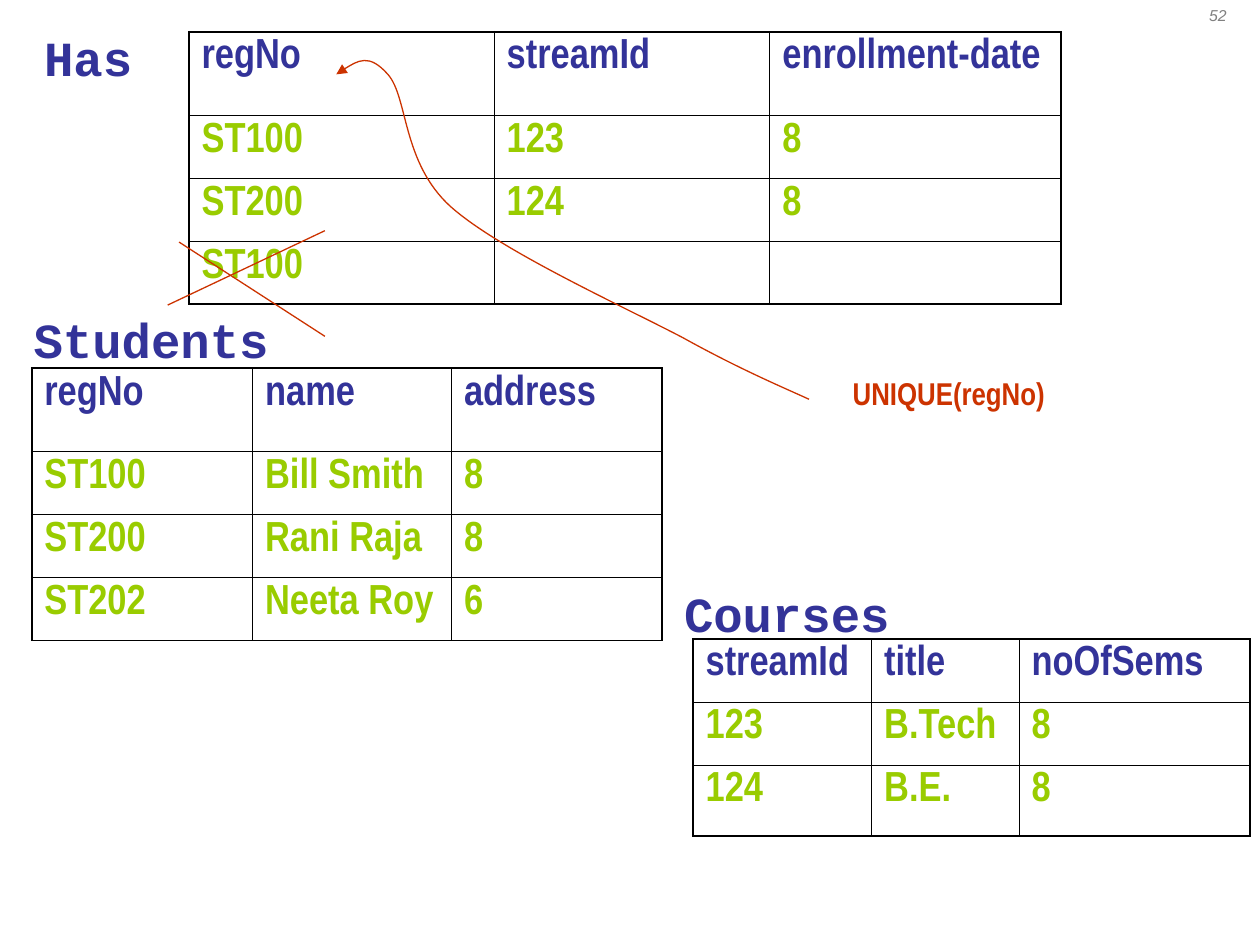
from lxml import etree
from pptx import Presentation
from pptx import util as u
from pptx.dml import color as colors
from pptx.enum import shapes, text
from pptx.oxml import ns

NAVY, GREEN, RED, GREY, BLACK = "333399", "99CC00", "CC3300", "808080", "000000"
OUTER, INNER = 1.08, 0.45


def rgb(value):
    return colors.RGBColor.from_string(value)


def style(para, name, size, color, bold=True, italic=False):
    for span in para.runs:
        span.font.name = name
        span.font.size = u.Pt(size)
        span.font.bold = bold
        span.font.italic = italic
        span.font.color.rgb = rgb(color)


deck = Presentation()
deck.slide_width, deck.slide_height = u.Cm(25.4), u.Cm(19.05)
page = deck.slides.add_slide(deck.slide_layouts[6])

tables = [
    ((13.97, 12.88), (3.6, 2.97, 4.66), (1.27, 1.27, 1.43), [
        ("streamId", "title", "noOfSems"),
        ("123", "B.Tech", "8"),
        ("124", "B.E.", "8"),
    ]),
    ((0.64, 7.42), (4.45, 4.01, 4.24), (1.68, 1.27, 1.27, 1.27), [
        ("regNo", "name", "address"),
        ("ST100", "Bill Smith", "8"),
        ("ST200", "Rani Raja", "8"),
        ("ST202", "Neeta Roy", "6"),
    ]),
    ((3.81, 0.64), (6.15, 5.56, 5.87), (1.68, 1.27, 1.27, 1.27), [
        ("regNo", "streamId", "enrollment-date"),
        ("ST100", "123", "8"),
        ("ST200", "124", "8"),
        ("ST100", "", ""),
    ]),
]

for (left, top), widths, heights, rows in tables:
    grid = page.shapes.add_table(
        len(rows), len(widths), u.Cm(left), u.Cm(top),
        u.Cm(sum(widths)), u.Cm(sum(heights))).table
    grid.first_row = grid.horz_banding = False
    for column, width in zip(grid.columns, widths):
        column.width = u.Cm(width)
    for row, height in zip(grid.rows, heights):
        row.height = u.Cm(height)
    for r, values in enumerate(rows):
        for c, value in enumerate(values):
            cell = grid.cell(r, c)
            cell.text_frame.text = value
            style(cell.text_frame.paragraphs[0], "Arial Narrow", 24, GREEN if r else NAVY)
            edges = {"lnL": c == 0, "lnR": c == len(widths) - 1,
                     "lnT": r == 0, "lnB": r == len(rows) - 1}
            properties = cell._tc.get_or_add_tcPr()
            for edge, outside in edges.items():
                line = etree.SubElement(properties, ns.qn("a:" + edge),
                                        w=str(u.Pt(OUTER if outside else INNER)))
                fill = etree.SubElement(line, ns.qn("a:solidFill"))
                etree.SubElement(fill, ns.qn("a:srgbClr"), val=BLACK)
            cell.fill.background()

labels = [
    ("Courses", (13.54, 11.63, 4.8, 1.45), "Courier New", 28, NAVY),
    ("Students", (0.43, 6.12, 5.4, 1.45), "Courier New", 28, NAVY),
    ("Has", (0.64, 0.43, 2.4, 1.45), "Courier New", 28, NAVY),
    ("UNIQUE(regNo)", (16.94, 7.42, 4.6, 1.02), "Arial Narrow", 18, RED),
]
for wording, place, name, size, color in labels:
    box = page.shapes.add_textbox(*map(u.Cm, place))
    box.text_frame.word_wrap = True
    box.text_frame.auto_size = text.MSO_AUTO_SIZE.NONE
    box.text_frame.text = wording
    style(box.text_frame.paragraphs[0], name, size, color)

number = page.shapes.add_textbox(u.Cm(23.7), u.Cm(0), u.Cm(1.7), u.Cm(1.27))
number.text_frame.word_wrap = True
number.text_frame.text = "52"
para = number.text_frame.paragraphs[0]
para.alignment = text.PP_ALIGN.CENTER
style(para, "Arial", 9, GREY, bold=False, italic=True)

for ends in [(3.61, 4.88, 6.55, 6.78), (6.55, 4.65, 3.38, 6.15)]:
    stroke = page.shapes.add_connector(shapes.MSO_CONNECTOR.STRAIGHT, *map(u.Cm, ends))
    stroke.line.color.rgb = rgb(RED)
    stroke.line.width = u.Pt(0.75)
    etree.SubElement(stroke._element.spPr, ns.qn("a:effectLst"))

curve_points = [
    (7.11, 1.27), (7.44, 1.07), (7.82, 1.5),
    (8.23, 1.96), (8.1, 3.28), (9.09, 4.17),
    (10.08, 5.05), (12.55, 6.17), (13.77, 6.81),
    (14.96, 7.47), (15.88, 7.85), (16.31, 8.05),
]
builder = page.shapes.build_freeform(u.Cm(6.78), u.Cm(1.5))
builder.add_line_segments([(u.Cm(x), u.Cm(y)) for x, y in curve_points], close=False)
arrow = builder.convert_to_shape()
arrow.shadow.inherit = False
arrow.fill.background()
arrow.line.color.rgb = rgb(RED)
arrow.line.width = u.Pt(0.75)
etree.SubElement(arrow.line._get_or_add_ln(), ns.qn("a:headEnd"), type="triangle")

segments = list(arrow._element.iter(ns.qn("a:lnTo")))
for start in range(0, len(segments), 3):
    bend = etree.Element(ns.qn("a:cubicBezTo"))
    segments[start].addprevious(bend)
    for segment in segments[start:start + 3]:
        bend.append(segment[0])
        segment.getparent().remove(segment)

deck.save("out.pptx")
